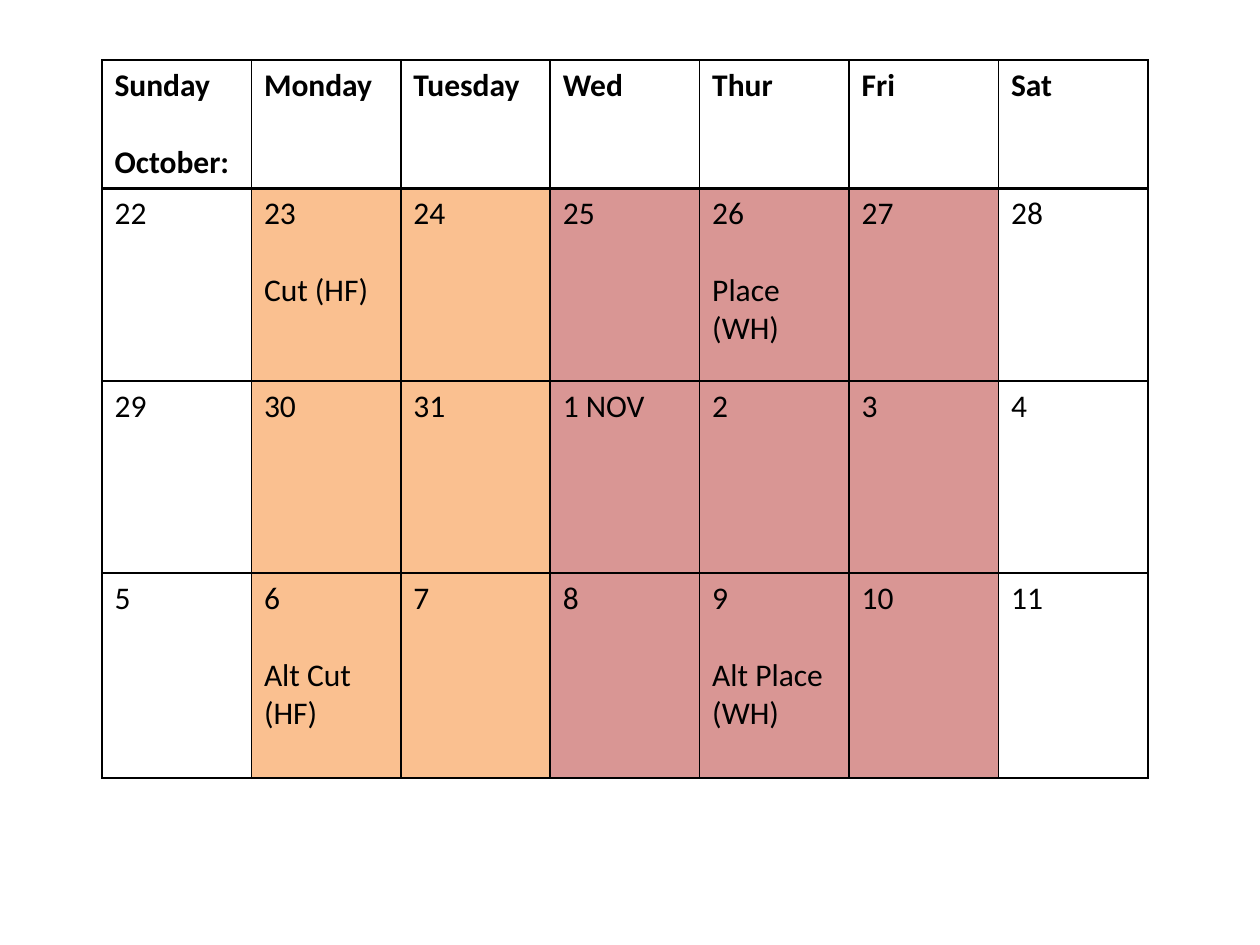
"""Builds a three-week calendar slide with cutting and placing days."""
from lxml.etree import SubElement
from pptx import Presentation
from pptx.dml.color import RGBColor
from pptx.oxml.ns import qn
from pptx.util import Pt

PX = 914400 / 126
BLACK = RGBColor(0x00, 0x00, 0x00)
ORANGE = RGBColor(0xFA, 0xC0, 0x90)
ROSE = RGBColor(0xD9, 0x96, 0x94)

LEFT, TOP, WIDTH = 102, 60, 1046
ROW_HEIGHTS = [128, 193, 192, 205]
DAY_FILLS = [None, ORANGE, ORANGE, ROSE, ROSE, ROSE, None]
WEEKS = [
    ["Sunday\nOctober:", "Monday", "Tuesday", "Wed", "Thur", "Fri", "Sat"],
    ["22", "23\nCut (HF)", "24", "25", "26\nPlace (WH)", "27", "28"],
    ["29", "30", "31", "1 NOV", "2", "3", "4"],
    ["5", "6\nAlt Cut (HF)", "7", "8", "9\nAlt Place\n(WH)", "10", "11"],
]
TEXT_FORMAT = {"name": "Calibri", "size": Pt(18)}


def px(length):
    return round(length * PX)


def add_border(cell, side, points):
    line = SubElement(cell._tc.get_or_add_tcPr(), qn(f"a:ln{side}"), w=str(Pt(points)))
    SubElement(SubElement(line, qn("a:solidFill")), qn("a:srgbClr"), val=str(BLACK))


prs = Presentation()
prs.slide_width, prs.slide_height = px(1260), px(945)
slide = prs.slides.add_slide(prs.slide_layouts[6])

calendar = slide.shapes.add_table(
    len(WEEKS), len(DAY_FILLS), px(LEFT), px(TOP), px(WIDTH), px(sum(ROW_HEIGHTS))
).table
calendar.first_row = calendar.horz_banding = False

for row, height in zip(calendar.rows, ROW_HEIGHTS):
    row.height = px(height)

for week, entries in enumerate(WEEKS):
    for day, entry in enumerate(entries):
        cell = calendar.cell(week, day)
        borders = {"L": 1, "R": 1, "T": 2 if week == 1 else 1, "B": 2 if week == 0 else 1}
        for side, points in borders.items():
            add_border(cell, side, points)

        if week and DAY_FILLS[day]:
            cell.fill.solid()
            cell.fill.fore_color.rgb = DAY_FILLS[day]
        else:
            cell.fill.background()

        cell.text = entry
        for number, paragraph in enumerate(cell.text_frame.paragraphs):
            if number == 1:
                paragraph.space_before = Pt(22)
            for run in paragraph.runs:
                for attribute, value in TEXT_FORMAT.items():
                    setattr(run.font, attribute, value)
                run.font.bold = week == 0
                run.font.color.rgb = BLACK

prs.save("out.pptx")
